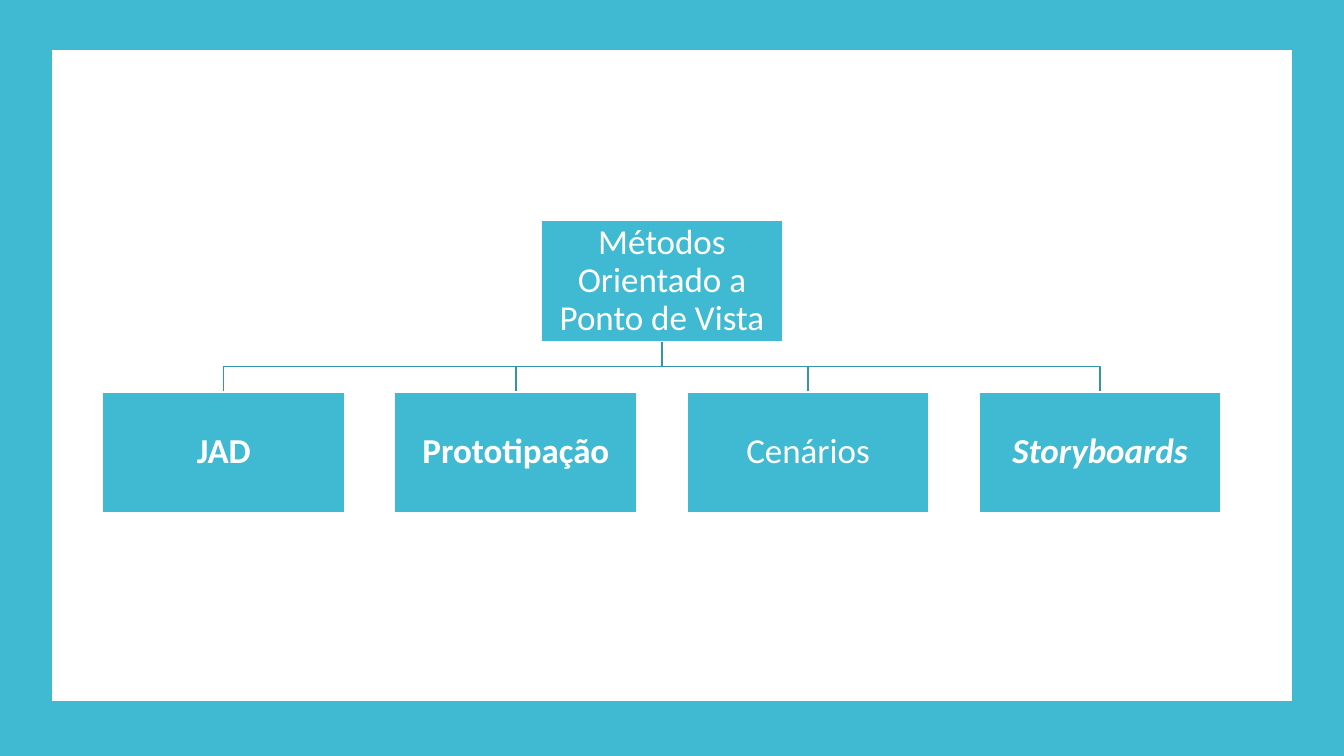
from dataclasses import dataclass

from pptx import Presentation
from pptx.dml.color import RGBColor
from pptx.enum.shapes import MSO_SHAPE
from pptx.enum.text import MSO_ANCHOR, PP_ALIGN
from pptx.shapes.autoshape import Shape
from pptx.slide import Slide
from pptx.util import Inches, Pt

RECTANGLE = MSO_SHAPE.RECTANGLE
MIDDLE = MSO_ANCHOR.MIDDLE
CENTER = PP_ALIGN.CENTER

COLORS = {"teal": "40BAD2", "branch": "3395A8", "white": "FFFFFF"}
FONT = "Calibri"
LINE_WIDTH = 0.85

# Grid of the tree, in inches
SLIDE_WIDTH, SLIDE_HEIGHT = 13.33, 7.5
BOX_WIDTH, BOX_HEIGHT = 2.4, 1.2
GRID_LEFT, GRID_TOP = 1.02, 2.19
COLUMN_STEP, ROW_STEP = 2.897, 1.7


@dataclass(frozen=True)
class Node:
    text: str
    column: float
    row: int
    bold: bool = False
    italic: bool = False

    @property
    def left(self) -> float:
        return GRID_LEFT + self.column * COLUMN_STEP

    @property
    def top(self) -> float:
        return GRID_TOP + self.row * ROW_STEP

    @property
    def center(self) -> float:
        return self.left + BOX_WIDTH / 2


ROOT = Node("Métodos Orientado a Ponto de Vista", 1.5, 0)
METHODS = [
    Node("JAD", 0, 1, bold=True),
    Node("Prototipação", 1, 1, bold=True),
    Node("Cenários", 2, 1),
    Node("Storyboards", 3, 1, bold=True, italic=True),
]


def color(name: str) -> RGBColor:
    return RGBColor.from_string(COLORS[name])


def add_box(slide: Slide, left: float, top: float, width: float, height: float,
            fill: str, line: str | None = None) -> Shape:
    box = slide.shapes.add_shape(
        RECTANGLE, Inches(left), Inches(top), Inches(width), Inches(height))
    box.shadow.inherit = False
    box.fill.solid()
    box.fill.fore_color.rgb = color(fill)
    if line:
        box.line.color.rgb = color(line)
        box.line.width = Pt(LINE_WIDTH)
    else:
        box.line.fill.background()
    return box


def write_text(box: Shape, text: str, *, size: float = 25, fill: str = "white",
               bold: bool = False, italic: bool = False) -> None:
    frame = box.text_frame
    frame.word_wrap = True
    frame.vertical_anchor = MIDDLE
    frame.margin_left = frame.margin_right = Inches(0.02)
    frame.margin_top = frame.margin_bottom = Inches(0.02)
    para = frame.paragraphs[0]
    para.alignment = CENTER
    para.line_spacing = 0.9
    span = para.add_run()
    span.text = text
    span.font.name = FONT
    span.font.size = Pt(size)
    span.font.bold = bold
    span.font.italic = italic
    span.font.color.rgb = color(fill)


def add_branch(slide: Slide, parent: Node, child: Node) -> None:
    start = parent.top + BOX_HEIGHT
    bend = (start + child.top) / 2
    corners = [(parent.center, bend), (child.center, bend), (child.center, child.top)]
    builder = slide.shapes.build_freeform(Inches(parent.center), Inches(start))
    builder.add_line_segments([(Inches(x), Inches(y)) for x, y in corners], close=False)
    branch = builder.convert_to_shape()
    branch.shadow.inherit = False
    branch.fill.background()
    branch.line.color.rgb = color("branch")
    branch.line.width = Pt(LINE_WIDTH)


def add_node(slide: Slide, node: Node) -> None:
    box = add_box(slide, node.left, node.top, BOX_WIDTH, BOX_HEIGHT, "teal", "white")
    write_text(box, node.text, bold=node.bold, italic=node.italic)


def main() -> None:
    deck = Presentation()
    deck.slide_width, deck.slide_height = Inches(SLIDE_WIDTH), Inches(SLIDE_HEIGHT)
    page = deck.slides.add_slide(deck.slide_layouts[6])

    # Teal frame around a white panel
    add_box(page, 0, 0, SLIDE_WIDTH, SLIDE_HEIGHT, "teal")
    add_box(page, 0.52, 0.5, 12.29, 6.45, "white", "white")

    # Branches behind the boxes
    for method in reversed(METHODS):
        add_branch(page, ROOT, method)
    for node in [ROOT, *METHODS]:
        add_node(page, node)

    deck.save("out.pptx")


if __name__ == "__main__":
    main()
